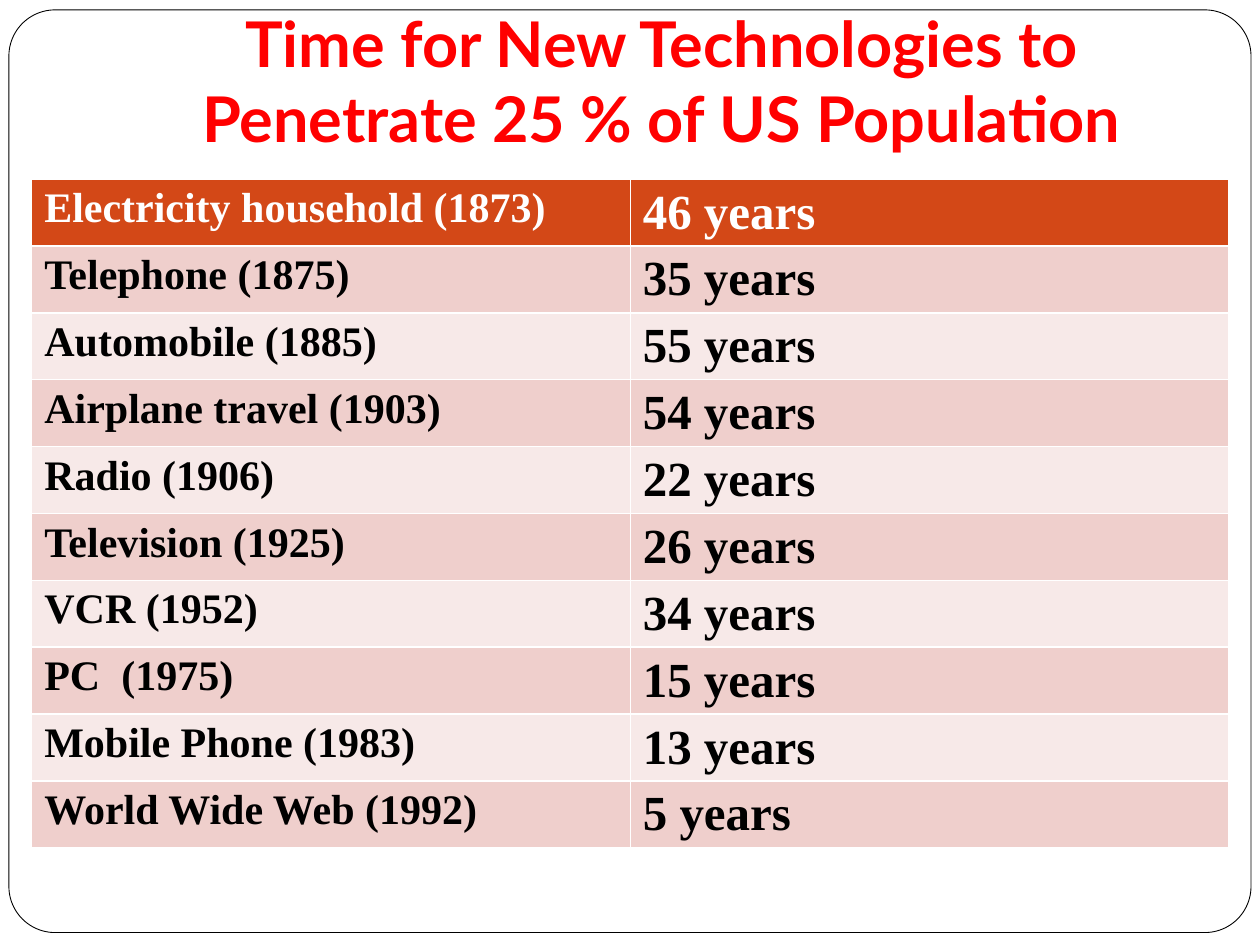
import pptx
import pptx.dml.color
import pptx.enum.shapes
import pptx.enum.text
import pptx.util

Cm = pptx.util.Cm
Pt = pptx.util.Pt
RGBColor = pptx.dml.color.RGBColor

WHITE = RGBColor(0xFF, 0xFF, 0xFF)
BLACK = RGBColor(0x00, 0x00, 0x00)
RED = RGBColor(0xFF, 0x00, 0x00)
ORANGE = RGBColor(0xD3, 0x48, 0x17)
BANDS = (RGBColor(0xF7, 0xE9, 0xE8), RGBColor(0xEF, 0xCF, 0xCC))

TITLE = "Time for New Technologies to Penetrate 25 % of US Population"
ADOPTION = [
    ("Electricity household (1873)", "46 years"),
    ("Telephone (1875)", "35 years"),
    ("Automobile (1885)", "55 years"),
    ("Airplane travel (1903)", "54 years"),
    ("Radio (1906)", "22 years"),
    ("Television (1925)", "26 years"),
    ("VCR (1952)", "34 years"),
    ("PC  (1975)", "15 years"),
    ("Mobile Phone (1983)", "13 years"),
    ("World Wide Web (1992)", "5 years"),
]
COLUMN_SIZES = (Pt(24), Pt(28))


def set_attrs(obj, values):
    for name, value in values.items():
        setattr(obj, name, value)


def write(tf, text, color, **font):
    p = tf.paragraphs[0]
    r = p.add_run()
    r.text = text
    set_attrs(r.font, {"bold": True, **font})
    r.font.color.rgb = color
    return p


def add_frame(s, left, top, width, height):
    sp = s.shapes.add_shape(
        pptx.enum.shapes.MSO_SHAPE.ROUNDED_RECTANGLE, left, top, width, height)
    sp.adjustments[0] = 0.05
    sp.shadow.inherit = False
    sp.fill.solid()
    sp.fill.fore_color.rgb = WHITE
    sp.line.color.rgb = BLACK
    sp.line.width = Pt(0.5)
    s.shapes._spTree.insert(2, sp._element)


def add_title(s, left, top, width, height):
    sp = s.shapes.title
    set_attrs(sp, {"left": left, "top": top, "width": width, "height": height})
    tf = sp.text_frame
    set_attrs(tf, {
        "word_wrap": True,
        "auto_size": pptx.enum.text.MSO_AUTO_SIZE.NONE,
        "vertical_anchor": pptx.enum.text.MSO_ANCHOR.BOTTOM,
        "margin_bottom": Cm(0.25),
    })
    p = write(tf, TITLE, RED, name="Lato", size=Pt(36))
    p.alignment = pptx.enum.text.PP_ALIGN.CENTER


def add_adoption_table(s, left, top, width, height):
    table = s.shapes.add_table(
        len(ADOPTION), len(COLUMN_SIZES), left, top, width, height).table
    for i, row in enumerate(ADOPTION):
        fill, color = (BANDS[i % 2], BLACK) if i else (ORANGE, WHITE)
        for j, (text, size) in enumerate(zip(row, COLUMN_SIZES)):
            cell = table.cell(i, j)
            cell.fill.solid()
            cell.fill.fore_color.rgb = fill
            write(cell.text_frame, text, color, name="Times New Roman", size=size)


def main():
    prs = pptx.Presentation()
    set_attrs(prs, {"slide_width": Cm(25.4), "slide_height": Cm(19.05)})
    s = prs.slides.add_slide(prs.slide_layouts[5])
    add_frame(s, Cm(0.18), Cm(0.2), Cm(25.04), Cm(18.6))
    add_title(s, Cm(2.54), Cm(0.2), Cm(21.59), Cm(3.18))
    add_adoption_table(s, Cm(0.64), Cm(3.61), Cm(24.13), Cm(13.48))
    prs.save("out.pptx")


if __name__ == "__main__":
    main()
